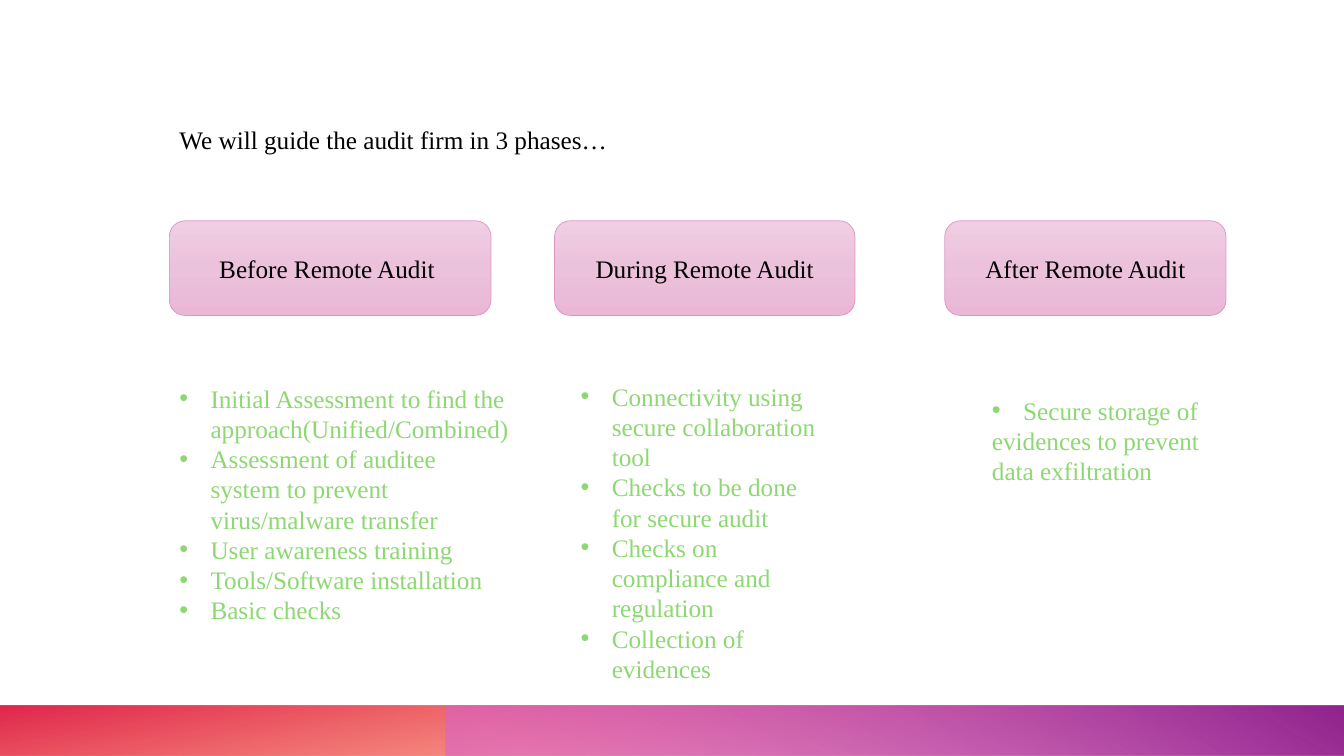
from dataclasses import dataclass

from lxml import etree
from pptx import Presentation
from pptx import util as u
from pptx.dml.color import RGBColor
from pptx.enum import shapes, text
from pptx.oxml import ns

PX = 9144  # EMU in one px, 100 px to the inch


@dataclass(frozen=True)
class Theme:
    font: str = "Times New Roman"
    size: int = 18
    ink: str = "000000"
    green: str = "8ED873"
    edge: str = "DE95C4"
    # Gradient stops: position, colour, opacity in percent
    card: tuple = ((0, "F0CEE3", 100), (50, "EBC1DB", 100), (100, "EAB7D7", 100))
    red: tuple = ((14, "FE4A00", 28), (100, "DA002F", 85))
    violet: tuple = ((9, "D861D4", 55), (99, "92248E", 100))


THEME = Theme()
TOP, CARD, LEFT = 219, 94, 168

# Card left and width, card label, list box, bullets, unbulleted lines
PHASES = [
    ((LEFT, 319), "Before Remote Audit ", (LEFT, 375, 349, 283),
     ["Initial Assessment to find the approach(Unified/Combined)",
      "Assessment of auditee system to prevent virus/malware transfer",
      "User awareness training",
      "Tools/Software installation",
      "Basic checks"], []),
    ((550, 298), "During Remote Audit", (566, 373, 267, 313),
     ["Connectivity using secure collaboration tool",
      "Checks to be done for secure audit",
      "Checks on compliance and regulation",
      "Collection of evidences"], []),
    ((937, 279), "After Remote Audit", (974, 387, 234, 101),
     ["Secure storage of"], ["evidences to prevent", "data exfiltration"]),
]


def emu(box):
    return [u.Emu(n * PX) for n in box]


def add_run(para, words, color):
    run = para.add_run()
    run.text = words
    run.font.name = THEME.font
    run.font.size = u.Pt(THEME.size)
    run.font.color.rgb = RGBColor.from_string(color)


def add_bullet(para):
    props = para._p.get_or_add_pPr()
    props.set("marL", str(31 * PX))
    props.set("indent", str(-31 * PX))
    etree.SubElement(props, ns.qn("a:buFont")).set("typeface", "Arial")
    etree.SubElement(props, ns.qn("a:buChar")).set("char", "•")


def add_block(slide, kind, box, stops, angle):
    """Add a shape with a gradient fill and neither line nor shadow."""
    shape = slide.shapes.add_shape(kind, *emu(box))
    shape.shadow.inherit = False
    shape.line.fill.background()
    shape.fill.gradient()
    grad = shape._element.spPr.find(ns.qn("a:gradFill"))
    for child in list(grad):
        grad.remove(child)
    group = etree.SubElement(grad, ns.qn("a:gsLst"))
    for place, color, alpha in stops:
        stop = etree.SubElement(group, ns.qn("a:gs"), pos=str(place * 1000))
        tint = etree.SubElement(stop, ns.qn("a:srgbClr"), val=color)
        if alpha < 100:
            etree.SubElement(tint, ns.qn("a:alpha"), val=str(alpha * 1000))
    etree.SubElement(grad, ns.qn("a:lin"), ang=str(angle * 60000), scaled="0")
    return shape


def add_footer(slide, box):
    left, top, width, height = box
    start = left + 442
    bars = [(box, THEME.red, 100, 180),
            ((start, top, width - start, height), THEME.violet, 240, 0)]
    for area, stops, angle, turn in bars:
        bar = add_block(slide, shapes.MSO_SHAPE.RECTANGLE, area, stops, angle)
        bar.rotation = turn
        bar._element.spPr.xfrm.set("flipH", "1")


def add_title(slide, box):
    title = slide.shapes.title
    title.left, title.top, title.width, title.height = emu(box)
    frame = title.text_frame
    frame.word_wrap = False
    frame.auto_size = text.MSO_AUTO_SIZE.NONE
    frame.vertical_anchor = text.MSO_ANCHOR.TOP
    para = frame.paragraphs[0]
    para.alignment = text.PP_ALIGN.LEFT
    add_run(para, "We will guide the audit firm in 3 phases…", THEME.ink)


def add_card(slide, box, label):
    card = add_block(slide, shapes.MSO_SHAPE.ROUNDED_RECTANGLE, box, THEME.card, 90)
    card.line.color.rgb = RGBColor.from_string(THEME.edge)
    card.line.width = u.Pt(0.5)
    card.text_frame.vertical_anchor = text.MSO_ANCHOR.MIDDLE
    para = card.text_frame.paragraphs[0]
    para.alignment = text.PP_ALIGN.CENTER
    add_run(para, label, THEME.ink)


def add_list(slide, box, points, rest):
    frame = slide.shapes.add_textbox(*emu(box)).text_frame
    frame.word_wrap = True
    for i, words in enumerate(points + rest):
        para = frame.add_paragraph() if i else frame.paragraphs[0]
        if i < len(points):
            add_bullet(para)
        add_run(para, words, THEME.green)


def main():
    deck = Presentation()
    deck.slide_width, deck.slide_height = emu((1333, 750))
    slide = deck.slides.add_slide(deck.slide_layouts[5])

    # Footer band and headline
    add_footer(slide, (0, 700, 1333, 50))
    add_title(slide, (LEFT, 118, 449, 40))

    # One card and one list for each phase
    for (left, width), label, area, points, rest in PHASES:
        add_card(slide, (left, TOP, width, CARD), label)
        add_list(slide, area, points, rest)

    deck.save("out.pptx")


if __name__ == "__main__":
    main()
